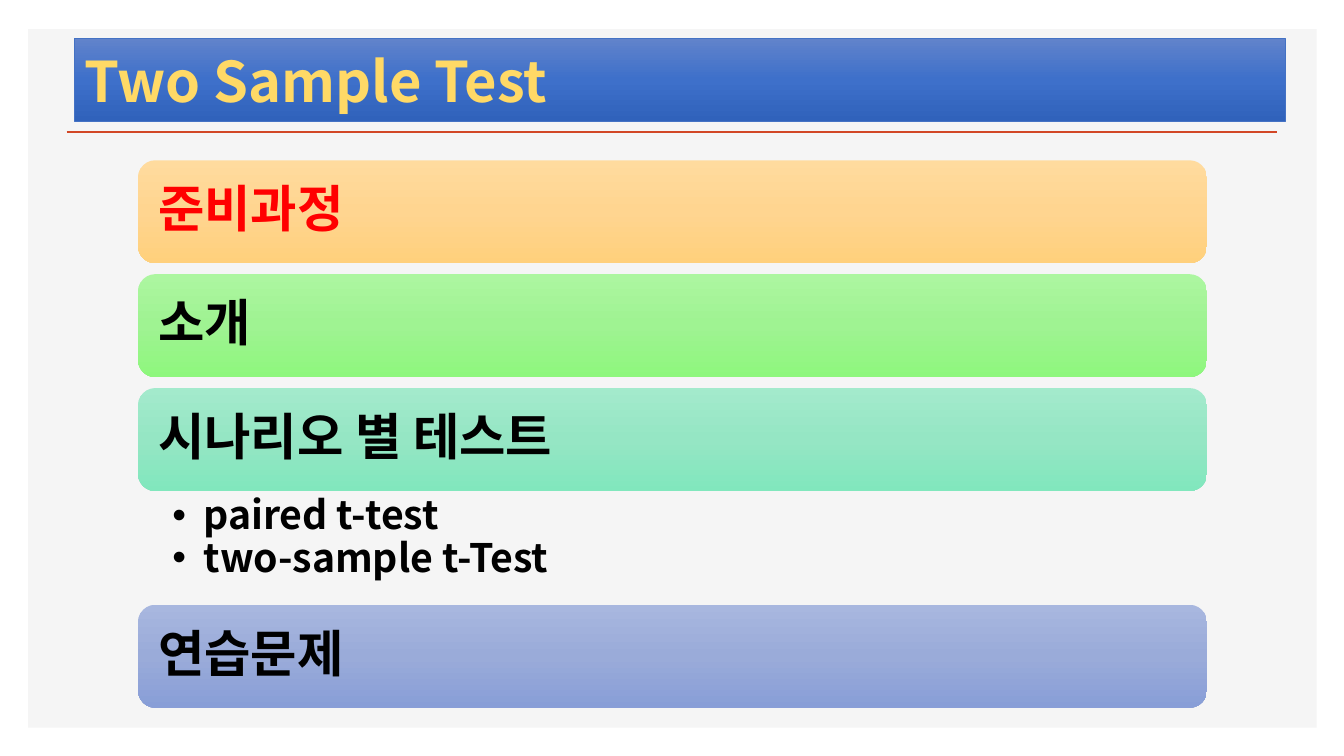
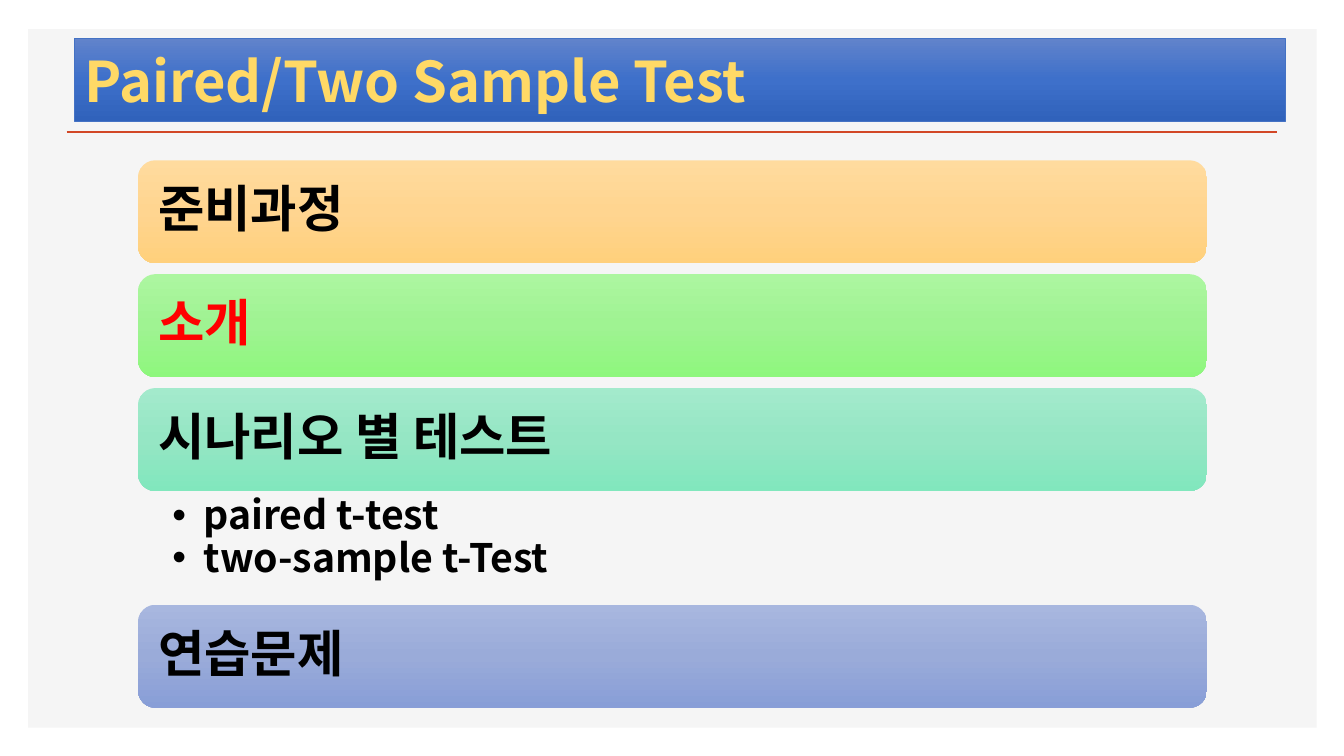
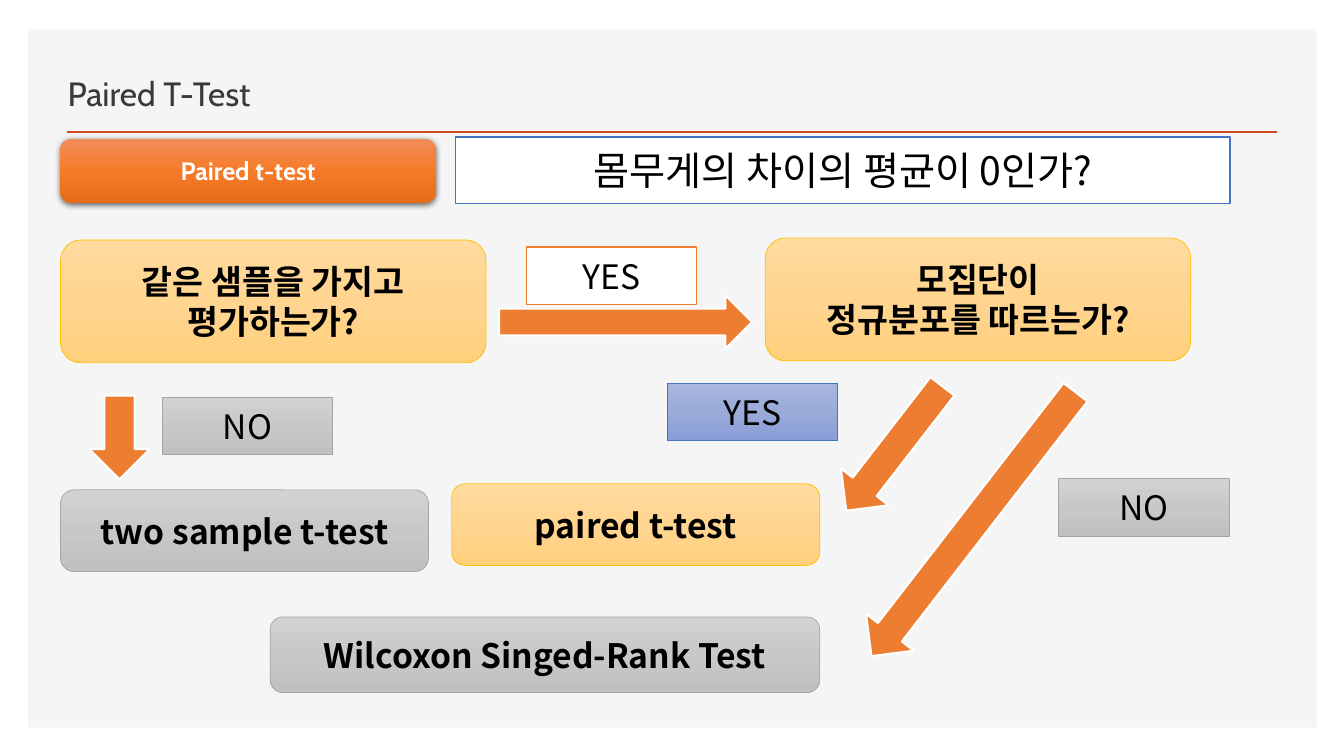
from lxml import etree
from pptx import Presentation
from pptx.dml.color import RGBColor
from pptx.enum.shapes import MSO_CONNECTOR, MSO_SHAPE
from pptx.enum.text import MSO_ANCHOR, MSO_AUTO_SIZE, PP_ALIGN
from pptx.oxml.ns import qn
from pptx.util import Inches, Pt

RECT = MSO_SHAPE.RECTANGLE
ROUNDED = MSO_SHAPE.ROUNDED_RECTANGLE
PROCESS = MSO_SHAPE.FLOWCHART_ALTERNATE_PROCESS
ARROW = MSO_SHAPE.RIGHT_ARROW
STRAIGHT = MSO_CONNECTOR.STRAIGHT
LEFT, CENTER = PP_ALIGN.LEFT, PP_ALIGN.CENTER
TOP, MIDDLE, BOTTOM = MSO_ANCHOR.TOP, MSO_ANCHOR.MIDDLE, MSO_ANCHOR.BOTTOM
NO_AUTOFIT = MSO_AUTO_SIZE.NONE

KOREAN, LATIN = "Noto Sans CJK KR", "Cabin"
BLACK, WHITE, RED, ORANGE = "000000", "FFFFFF", "FF0000", "ED7D31"
GOLD, BLUE, GRAY = "FFC000", "4472C4", "A5A5A5"
TITLE_BLUE = ("6183CB", "3E70CA", "3062BB")
AMBER = ("FFDB9E", "FFD590", "FFD07C")
GREEN = ("ACF6A0", "9FF392", "8EF77D")
MINT = ("A3EACC", "95E6C4", "81E7BD")
PERIWINKLE = ("A8B7DF", "9AABD9", "889ED7")
SILVER = ("D2D2D2", "C8C8C8", "C0C0C0")
DEEP_ORANGE = ("F18C57", "F67B28", "E56C19")

AGENDA = [
    ("준비과정", AMBER, []),
    ("소개", GREEN, []),
    ("시나리오 별 테스트", MINT, ["paired t-test", "two-sample t-Test"]),
    ("연습문제", PERIWINKLE, []),
]


def rgb(color):
    return RGBColor.from_string(color)


def write(shape, text, size=24, font=KOREAN, color=BLACK, bold=False, align=CENTER,
          anchor=MIDDLE, insets=(0.1, 0.05, 0.1, 0.05), spacing=None, bullet_indent=None):
    """Fill a shape with one paragraph per line; insets run left, top, right, bottom."""
    frame = shape.text_frame
    frame.text = text
    frame.word_wrap = True
    frame.auto_size = NO_AUTOFIT
    frame.vertical_anchor = anchor
    (frame.margin_left, frame.margin_top,
     frame.margin_right, frame.margin_bottom) = map(Inches, insets)
    for paragraph in frame.paragraphs:
        if bullet_indent:
            properties = paragraph._p.get_or_add_pPr()
            properties.set("marL", str(Inches(bullet_indent)))
            properties.set("indent", str(-Inches(bullet_indent)))
            etree.SubElement(properties, qn("a:buFont"), typeface="Arial")
            etree.SubElement(properties, qn("a:buChar"), char="•")
        paragraph.alignment = align
        paragraph.space_before = paragraph.space_after = Pt(0)
        if spacing:
            paragraph.line_spacing = spacing
        for run in paragraph.runs:
            run.font.size = Pt(size)
            run.font.bold = bold
            run.font.color.rgb = rgb(color)
            run.font.name = font
            etree.SubElement(run._r.get_or_add_rPr(), qn("a:ea"), typeface=font)


def paint(shape, fill, line=None, width=0.5):
    """Fill with one colour, or top to bottom with a tuple of colours."""
    if isinstance(fill, tuple):
        shape.fill.gradient()
        shape.fill.gradient_angle = 270
        stops = shape.element.spPr.find(".//" + qn("a:gsLst"))
        stops[:] = []
        for index, color in enumerate(fill):
            position = index * 100000 // (len(fill) - 1)
            stop = etree.SubElement(stops, qn("a:gs"), pos=str(position))
            etree.SubElement(stop, qn("a:srgbClr"), val=color)
    else:
        shape.fill.solid()
        shape.fill.fore_color.rgb = rgb(fill)
    if line:
        shape.line.color.rgb = rgb(line)
        shape.line.width = Pt(width)
    else:
        shape.line.fill.background()


class Deck:
    """Holds the presentation, its shared layout and the slide being drawn."""

    def __init__(self):
        self.presentation = Presentation()
        self.presentation.slide_width = Inches(13.33)
        self.presentation.slide_height = Inches(7.5)
        self.layout = self.presentation.slide_layouts[5]
        self.slide = None

    def add_slide(self):
        first = self.slide is None
        self.slide = self.presentation.slides.add_slide(self.layout)
        if first:
            self.furnish_layout()

    def furnish_layout(self):
        """Move the shared panel and rule behind everything in the layout."""
        for placeholder in list(self.layout.placeholders)[1:]:
            placeholder.element.getparent().remove(placeholder.element)
        panel = self.block(RECT, (0.28, 0.29, 12.78, 6.93), "F5F5F5")
        rule = self.slide.shapes.add_connector(
            STRAIGHT, Inches(0.66), Inches(1.31), Inches(12.67), Inches(1.31))
        rule.line.color.rgb = rgb("D24726")
        rule.line.width = Pt(2)
        etree.SubElement(rule.element.spPr, qn("a:effectLst"))
        for index, part in enumerate((panel, rule), start=2):
            self.layout.shapes.element.insert(index, part.element)

    def title(self, text, box, **text_format):
        title = self.slide.shapes.title
        title.left, title.top, title.width, title.height = map(Inches, box)
        write(title, text, align=LEFT, **text_format)
        return title

    def banner_title(self, text):
        banner = self.title(text, (0.74, 0.38, 12.01, 0.82), size=40,
                            color="FFD966", bold=True)
        paint(banner, TITLE_BLUE, BLUE)

    def block(self, kind, box, fill, line=None, width=0.5, text="", **text_format):
        block = self.slide.shapes.add_shape(kind, *map(Inches, box))
        block.shadow.inherit = False
        paint(block, fill, line, width)
        if text:
            write(block, text, **text_format)
        return block

    def arrow(self, box, rotation=0):
        self.block(ARROW, box, ORANGE, WHITE, 1.5).rotation = rotation

    def process(self, text, box, fill=AMBER, line=GOLD):
        self.block(PROCESS, box, fill, line, text=text, bold=True)

    def answer(self, text, left, top, fill=SILVER, line=GRAY, width=0.5):
        self.block(RECT, (left, top, 1.69, 0.57), fill, line, width, text=text)

    def bullets(self, lines, box):
        bullets = self.slide.shapes.add_textbox(*map(Inches, box))
        write(bullets, "\n".join(lines), size=28, bold=True, align=LEFT, anchor=TOP,
              insets=(0.34, 0.05, 0.28, 0.05), spacing=0.9, bullet_indent=0.31)

    def soft_shadow(self, shape):
        effects = shape.element.spPr.find(qn("a:effectLst"))
        shadow = etree.SubElement(effects, qn("a:outerShdw"), blurRad=str(Pt(4.5)),
                                  dist=str(Pt(1.5)), dir="5400000", rotWithShape="0")
        color = etree.SubElement(shadow, qn("a:srgbClr"), val=BLACK)
        etree.SubElement(color, qn("a:alpha"), val="63000")


def agenda_slide(deck, title, current):
    deck.add_slide()
    deck.banner_title(title)
    left, top, width, height, gap, list_height = 1.37, 1.59, 10.6, 1.02, 0.11, 1.13
    for heading, fill, topics in AGENDA:
        deck.block(ROUNDED, (left, top, width, height), fill, text=heading, size=36,
                   color=RED if heading == current else BLACK, bold=True, align=LEFT,
                   insets=(0.15,) * 4, spacing=0.9)
        top += height
        if topics:
            deck.bullets(topics, (left, top, width, list_height))
        top += list_height if topics else gap


def decision_slide(deck):
    deck.add_slide()
    deck.title("Paired T-Test", (0.57, 0.48, 4.85, 0.7), font=LATIN, color="3B3838",
               anchor=BOTTOM, spacing=0.9)
    method = deck.block(ROUNDED, (0.6, 1.38, 3.72, 0.63), DEEP_ORANGE, text="Paired t-test",
                        size=18, font=LATIN, color=WHITE, bold=True)
    deck.soft_shadow(method)
    deck.block(RECT, (4.52, 1.36, 7.68, 0.66), WHITE, BLUE, 1,
               text="몸무게의 차이의 평균이 0인가?", size=28)

    deck.process("모집단이\n정규분포를 따르는가?", (7.59, 2.36, 4.22, 1.22))
    deck.arrow((4.95, 2.93, 2.51, 0.53))
    deck.answer("YES", 5.22, 2.45, WHITE, ORANGE, 1)
    deck.process("같은 샘플을 가지고 평가하는가?", (0.6, 2.38, 4.22, 1.22))

    deck.arrow((8.09, 4.15, 1.56, 0.6), 127.7)
    deck.answer("YES", 6.62, 3.8, PERIWINKLE, BLUE)
    deck.process("paired t-test", (4.48, 4.8, 3.65, 0.81))

    deck.arrow((8, 4.9, 3.31, 0.6), 127.7)
    deck.answer("NO", 10.5, 4.75)
    deck.process("two sample t-test", (0.6, 4.86, 3.65, 0.81), SILVER, GRAY)

    deck.arrow((0.77, 4.04, 0.83, 0.6), 90)
    deck.answer("NO", 1.61, 3.94)
    deck.process("Wilcoxon Singed-Rank Test", (2.68, 6.12, 5.45, 0.75), SILVER, GRAY)


def main():
    deck = Deck()
    agenda_slide(deck, "Two Sample Test", current="준비과정")
    agenda_slide(deck, "Paired/Two Sample Test", current="소개")
    decision_slide(deck)
    deck.presentation.save("out.pptx")


if __name__ == "__main__":
    main()
